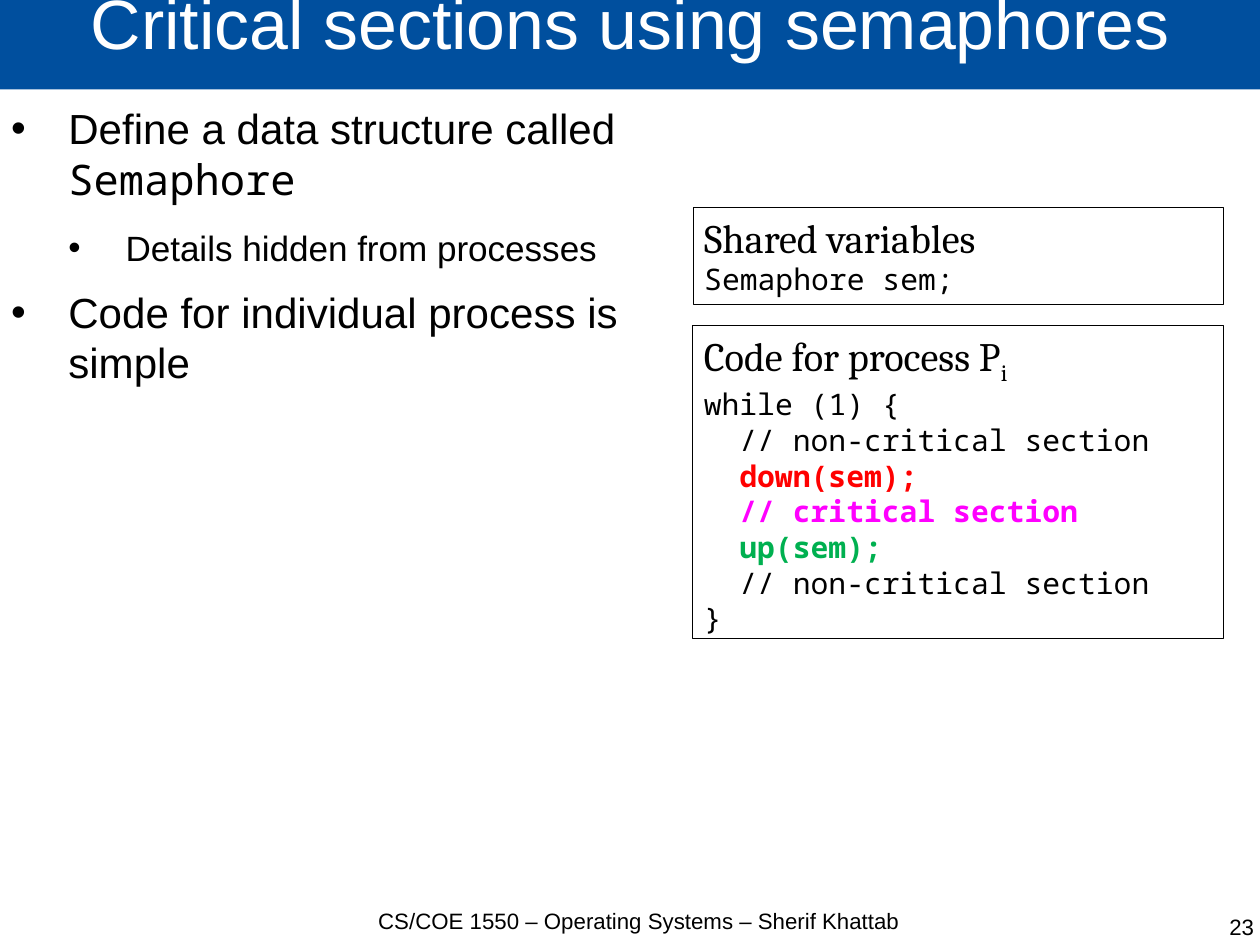
import pptx
import pptx.dml.color
import pptx.enum.shapes
import pptx.enum.text
import pptx.oxml
import pptx.oxml.ns
import pptx.util

Cm = pptx.util.Cm
Pt = pptx.util.Pt
ALIGN = pptx.enum.text.PP_ALIGN
COLORS = {
    "banner": "004F9E",
    "white": "FFFFFF",
    "black": "000000",
    "down": "FF0000",
    "critical": "FF00FF",
    "up": "00B050",
}
CODE_FONT = "Noto Sans Mono"
CODE_SIZE = 18.7
CODE_INDENT = 0.79
BULLET_STEP = 1.27


def rgb(name):
    """Return the named colour."""
    return pptx.dml.color.RGBColor.from_string(COLORS[name])


def add_run(paragraph, text, size, font="Arial", color="black", bold=False, baseline=None):
    """Append formatted text to a paragraph."""
    run = paragraph.add_run()
    run.text = text
    run.font.size = Pt(size)
    run.font.name = font
    run.font.bold = bold
    run.font.color.rgb = rgb(color)
    if baseline is not None:
        run.font._element.set("baseline", str(baseline))


def add_paragraph(frame, align=ALIGN.LEFT, indent=0):
    """Return the next paragraph, reusing the first while it is empty."""
    paragraph = frame.paragraphs[0] if not frame.text else frame.add_paragraph()
    paragraph.alignment = align
    if indent:
        paragraph._p.get_or_add_pPr().set("marL", str(Cm(indent)))
    return paragraph


def set_frame(shape, inset=(0.25, 0.13, 0.25, 0.13), anchor="TOP"):
    """Prepare a wrapping text frame with the given insets."""
    frame = shape.text_frame
    frame.word_wrap = True
    frame.vertical_anchor = pptx.enum.text.MSO_ANCHOR[anchor]
    (frame.margin_left, frame.margin_top,
     frame.margin_right, frame.margin_bottom) = map(Cm, inset)
    return frame


def add_rectangle(slide, box):
    """Add a rectangle without a shadow."""
    shape = slide.shapes.add_shape(
        pptx.enum.shapes.MSO_SHAPE.RECTANGLE, *map(Cm, box))
    shape.shadow.inherit = False
    return shape


def add_title(slide, box, text):
    """Add the title banner."""
    banner = add_rectangle(slide, box)
    banner.fill.solid()
    banner.fill.fore_color.rgb = rgb("banner")
    banner.line.fill.background()
    frame = set_frame(banner, (0.25, 0.13, 0.25, 0.64), "MIDDLE")
    paragraph = add_paragraph(frame, ALIGN.CENTER)
    paragraph.line_spacing = 0.69
    add_run(paragraph, text, 44, color="white")


def add_bullets(slide, box, bullets):
    """Add the bullet list from (level, [(text, font)]) items."""
    frame = set_frame(slide.shapes.add_textbox(*map(Cm, box)))
    namespace = pptx.oxml.ns.nsdecls("a")
    for level, parts in bullets:
        size, gap = ((26.5, 14.2), (22.1, 11.4))[level]
        paragraph = add_paragraph(frame, indent=BULLET_STEP * (level + 1))
        paragraph.level = level
        paragraph.space_after = Pt(gap)
        properties = paragraph._p.get_or_add_pPr()
        properties.set("indent", str(-Cm(BULLET_STEP)))
        for element in (
            f'<a:buClr {namespace}><a:srgbClr val="{COLORS["black"]}"/></a:buClr>',
            f'<a:buFont {namespace} typeface="Arial"/>',
            f'<a:buChar {namespace} char="•"/>',
        ):
            properties.append(pptx.oxml.parse_xml(element))
        for text, font in parts:
            add_run(paragraph, text, size, font)


def add_code_panel(slide, box, heading, lines, subscript=""):
    """Add an outlined panel with a heading and (indent level, text, colour) code lines."""
    panel = add_rectangle(slide, box)
    panel.fill.background()
    panel.line.color.rgb = rgb("black")
    panel.line.width = Pt(0.5)
    frame = set_frame(panel)
    paragraph = add_paragraph(frame)
    add_run(paragraph, heading, 25.4, "Cambria")
    if subscript:
        add_run(paragraph, subscript, 25.4, "Cambria", baseline=-25000)
    for level, text, color in lines:
        paragraph = add_paragraph(frame, indent=level * CODE_INDENT)
        add_run(paragraph, text, CODE_SIZE, CODE_FONT, color, bold=color != "black")


def add_footer(slide, box, text, align):
    """Add one line of footer text."""
    frame = set_frame(slide.shapes.add_textbox(*map(Cm, box)), (0, 0, 0, 0))
    add_run(add_paragraph(frame, align), text, 14)


def main():
    """Build and save the semaphore slide."""
    presentation = pptx.Presentation()
    presentation.slide_width = Cm(28)
    presentation.slide_height = Cm(21)
    slide = presentation.slides.add_slide(presentation.slide_layouts[6])

    add_title(slide, (0, -0.05, 28.04, 2.04), "Critical sections using semaphores")
    add_bullets(slide, (0, 2.15, 14.43, 18.08), [
        (0, [("Define a data structure called ", "Arial"), ("Semaphore", CODE_FONT)]),
        (1, [("Details hidden from processes", "Arial")]),
        (0, [("Code for individual process is simple", "Arial")]),
    ])
    add_footer(slide, (7.8, 20.16, 12.8, 1.4),
               "CS/COE 1550 – Operating Systems – Sherif Khattab", ALIGN.CENTER)
    add_footer(slide, (21.44, 20.29, 6.43, 1.4), "23", ALIGN.RIGHT)
    add_code_panel(slide, (15.39, 7.23, 11.79, 6.96), "Code for process P", [
        (0, "while (1) {", "black"),
        (1, "// non-critical section", "black"),
        (1, "down(sem);", "down"),
        (1, "// critical section", "critical"),
        (1, "up(sem);", "up"),
        (1, "// non-critical section", "black"),
        (0, "}", "black"),
    ], subscript="i")
    add_code_panel(slide, (15.4, 4.6, 11.78, 2.16), "Shared variables",
                   [(0, "Semaphore sem;", "black")])
    presentation.save("out.pptx")


if __name__ == "__main__":
    main()
